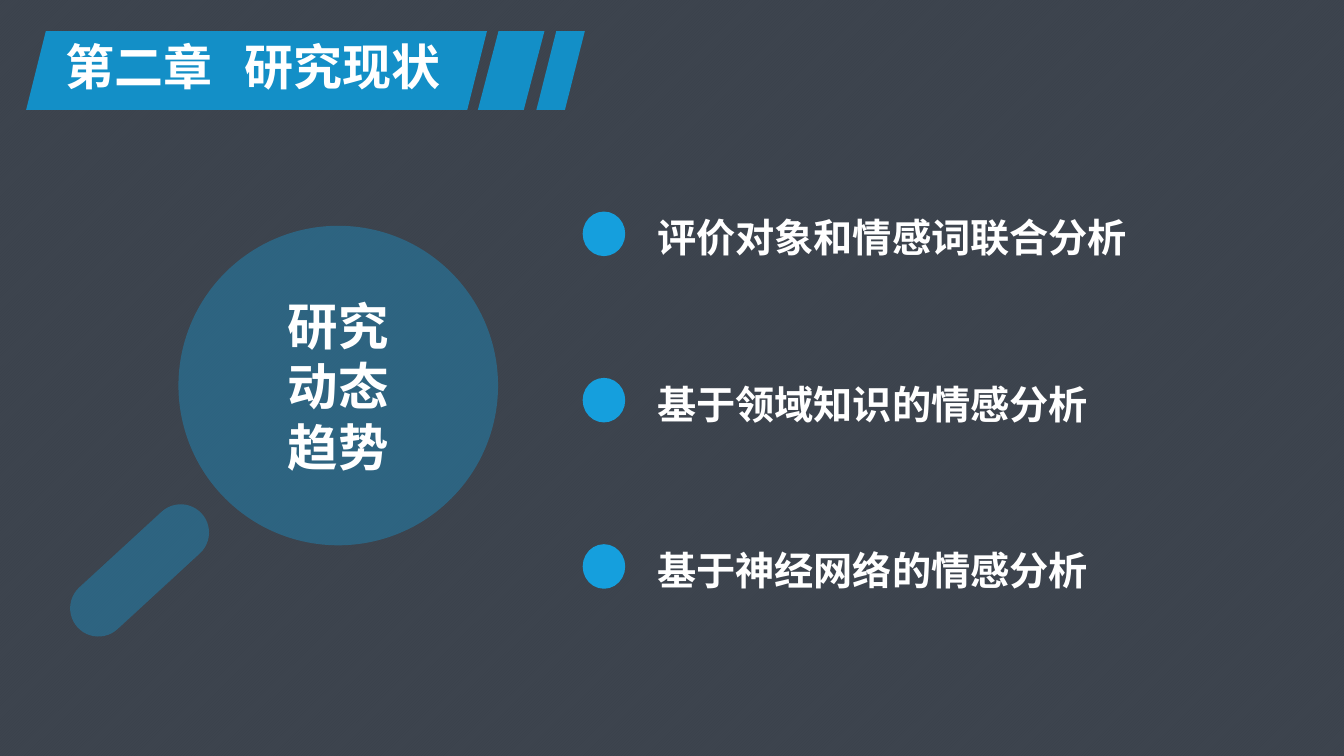
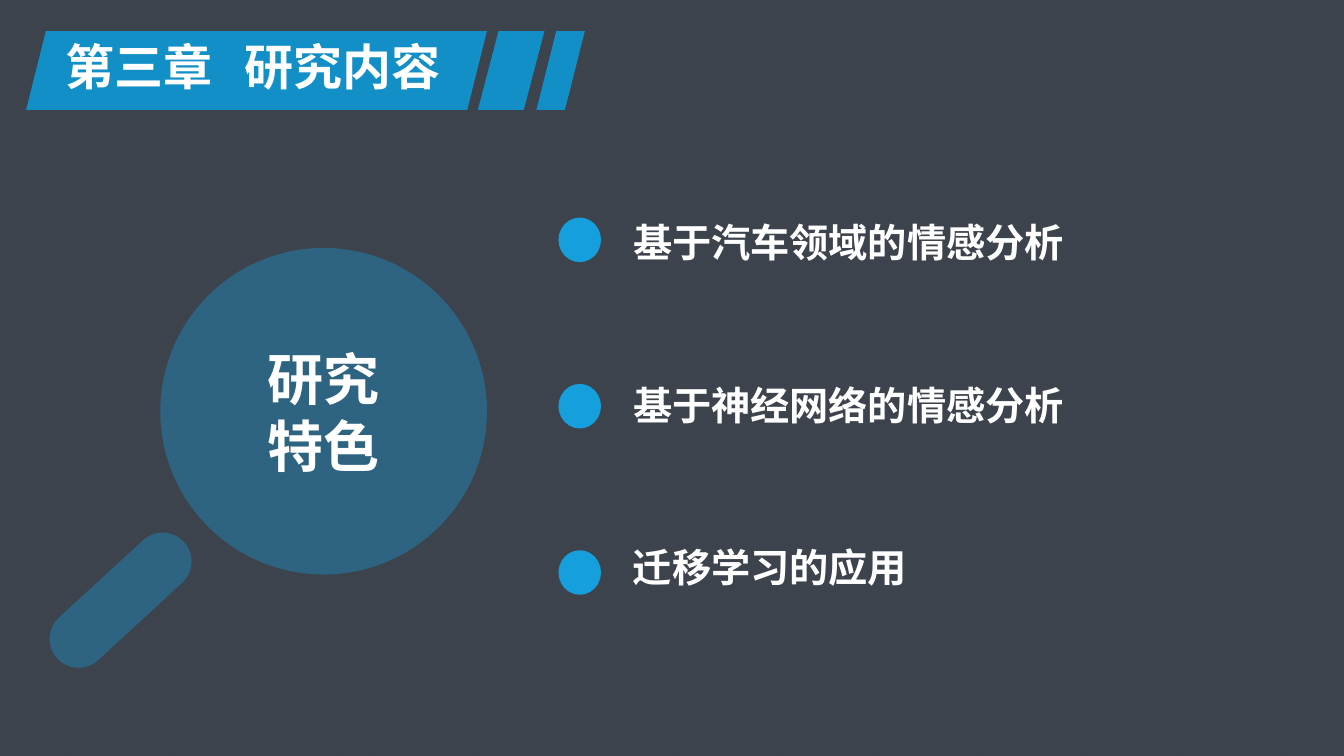
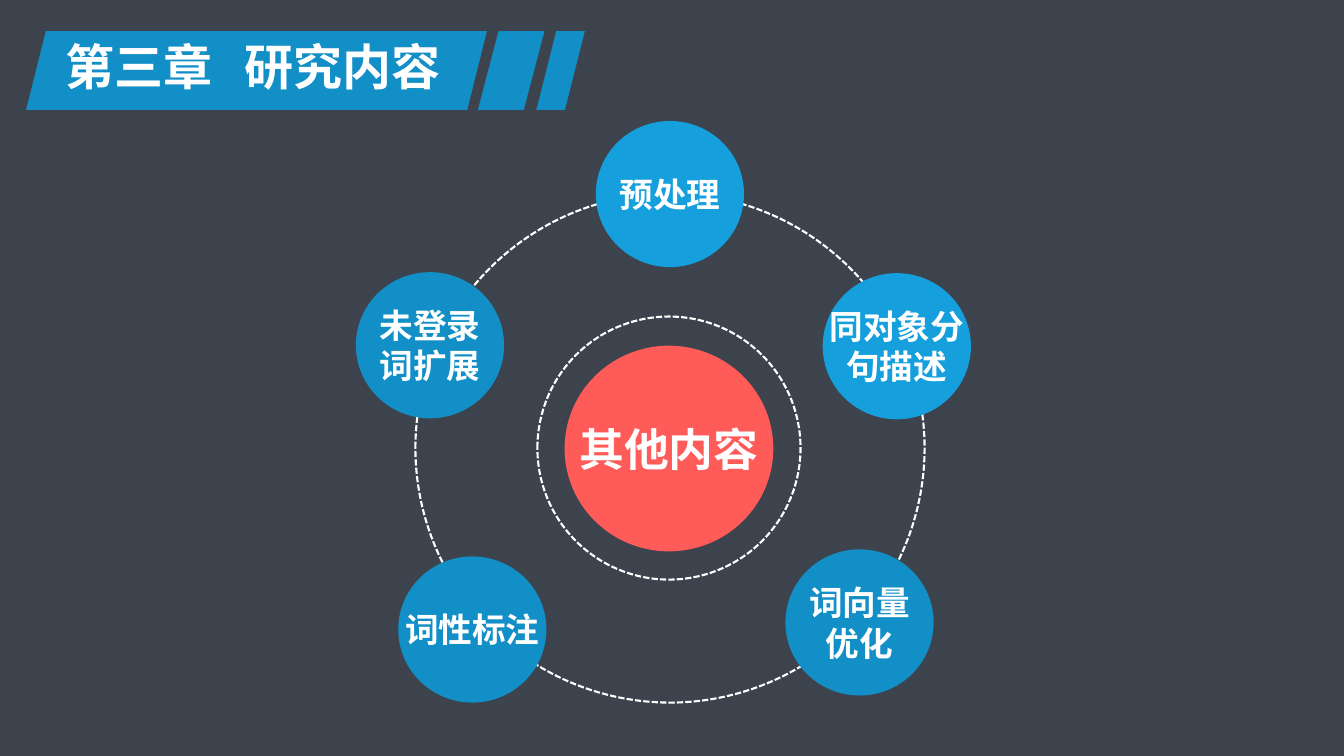
"""Build three slides on the state, features and content of sentiment analysis research."""
from dataclasses import dataclass
from typing import NamedTuple, Optional

from lxml.etree import SubElement
from pptx import Presentation
from pptx.dml.color import RGBColor
from pptx.enum.dml import MSO_LINE, MSO_PATTERN
from pptx.enum.shapes import MSO_SHAPE
from pptx.enum.text import MSO_ANCHOR, PP_ALIGN
from pptx.oxml.ns import qn
from pptx.presentation import Presentation as Deck
from pptx.shapes.autoshape import Shape
from pptx.slide import Slide
from pptx.text.text import TextFrame
from pptx.util import Inches, Pt


@dataclass(frozen=True)
class Theme:
    font: str = "Noto Sans CJK SC"
    white: str = "FFFFFF"
    veil: str = "222A35"
    stripe: str = "BFBFBF"
    paper: str = "DDDCE2"
    deep: str = "138FC7"
    bright: str = "159FDD"
    coral: str = "FF5B59"
    veil_alpha: int = 85
    lens_alpha: int = 36
    title_size: int = 35
    item_size: int = 28
    node_size: int = 24
    hub_size: int = 32


class Box(NamedTuple):
    left: float
    top: float
    width: float
    height: float


class Bar(NamedTuple):
    box: Box
    slant: float


class Magnifier(NamedTuple):
    left: float
    top: float
    size: float
    text: str
    text_size: int


class ItemList(NamedTuple):
    left: float
    text_top: float
    text_step: float
    dot_top: float
    items: tuple[str, ...]


class Node(NamedTuple):
    box: Box
    text: str
    color: str
    size: int


T = Theme()
WIDTH, HEIGHT = 13.33, 7.5
TITLE_BOX = Box(0.55, 0.31, 4.07, 0.69)
TITLE_TAB = 1.78
BARS = (
    Bar(Box(0.26, 0.31, 4.57, 0.78), 0.25),
    Bar(Box(4.74, 0.31, 0.66, 0.78), 0.31),
    Bar(Box(5.32, 0.31, 0.48, 0.78), 0.41),
)
DOT_STEP = 1.65
NODE_W, NODE_H = 1.47, 1.45
RINGS = (Box(4.12, 1.92, 5.05, 5.05), Box(5.33, 3.14, 2.61, 2.61))


def node(left: float, top: float, text: str, color: str) -> Node:
    return Node(Box(left, top, NODE_W, NODE_H), text, color, T.node_size)


NODES = (
    node(5.91, 1.2, "预处理", T.bright),
    node(8.16, 2.71, "同对象分\n句描述", T.bright),
    node(7.79, 5.45, "词向量\n优化", T.deep),
    node(3.95, 5.52, "词性标注", T.deep),
    node(3.53, 2.7, "未登录\n词扩展", T.deep),
    Node(Box(5.6, 3.43, 2.07, 2.04), "其他内容", T.coral, T.hub_size),
)


def rgb(color: str) -> RGBColor:
    return RGBColor.from_string(color)


def add_shape(s: Slide, kind: MSO_SHAPE, box: Box, color: Optional[str] = None,
              alpha: int = 100) -> Shape:
    sp = s.shapes.add_shape(kind, *map(Inches, box))
    sp.shadow.inherit = False
    sp.line.fill.background()
    if color is None:
        sp.fill.background()
        return sp
    sp.fill.solid()
    sp.fill.fore_color.rgb = rgb(color)
    if alpha < 100:
        clr = sp.element.spPr.find(f"{qn('a:solidFill')}/{qn('a:srgbClr')}")
        SubElement(clr, qn("a:alpha"), val=str(alpha * 1000))
    return sp


def write(tf: TextFrame, text: str, size: int, align: PP_ALIGN = PP_ALIGN.LEFT) -> None:
    tf.text = text
    for p in tf.paragraphs:
        p.alignment = align
        p.font.name = T.font
        p.font.size = Pt(size)
        p.font.bold = True
        p.font.color.rgb = rgb(T.white)
        for props in p._p.iter(qn("a:defRPr")):
            SubElement(props, qn("a:ea"), typeface=T.font)


def add_text(s: Slide, box: Box, text: str, size: int, wrap: bool = False) -> TextFrame:
    tf = s.shapes.add_textbox(*map(Inches, box)).text_frame
    tf.word_wrap = wrap
    write(tf, text, size)
    return tf


def add_disc(s: Slide, box: Box, text: str, size: int, color: str, alpha: int = 100) -> None:
    tf = add_shape(s, MSO_SHAPE.OVAL, box, color, alpha).text_frame
    tf.word_wrap = False
    tf.vertical_anchor = MSO_ANCHOR.MIDDLE
    write(tf, text, size, PP_ALIGN.CENTER)


def set_background(prs: Deck) -> None:
    fill = prs.slide_master.background.fill
    fill.patterned()
    fill.pattern = MSO_PATTERN.LIGHT_UPWARD_DIAGONAL
    fill.fore_color.rgb = rgb(T.stripe)
    fill.back_color.rgb = rgb(T.paper)


def add_slide(prs: Deck, chapter: str, title: str) -> Slide:
    s = prs.slides.add_slide(prs.slide_layouts[6])
    add_shape(s, MSO_SHAPE.RECTANGLE, Box(0, 0, WIDTH, HEIGHT), T.veil, T.veil_alpha)
    for bar in BARS:
        sp = add_shape(s, MSO_SHAPE.PARALLELOGRAM, bar.box, T.deep)
        sp.adjustments[0] = bar.slant
    tf = add_text(s, TITLE_BOX, f"{chapter}\t{title}", T.title_size, wrap=True)
    tabs = SubElement(tf.paragraphs[0]._p.pPr, qn("a:tabLst"))
    SubElement(tabs, qn("a:tab"), pos=str(Inches(TITLE_TAB)), algn="l")
    tabs.getparent().insert(0, tabs)
    return s


def add_magnifier(s: Slide, m: Magnifier) -> None:
    add_disc(s, Box(m.left, m.top, m.size, m.size), m.text, m.text_size,
             T.bright, T.lens_alpha)
    handle = Box(m.left - 0.385 * m.size, m.top + 0.99 * m.size,
                 0.527 * m.size, 0.177 * m.size)
    sp = add_shape(s, MSO_SHAPE.ROUNDED_RECTANGLE, handle, T.bright, T.lens_alpha)
    sp.adjustments[0] = 0.5
    sp.rotation = 317.4


def add_items(s: Slide, lst: ItemList) -> None:
    for i, text in enumerate(lst.items):
        dot = Box(lst.left, lst.dot_top + i * DOT_STEP, 0.38, 0.4)
        sp = add_shape(s, MSO_SHAPE.OVAL, dot, T.bright)
        sp.line.color.rgb = rgb(T.bright)
        sp.line.width = Pt(3)
        width = len(text) * T.item_size / 72 + 0.24
        box = Box(lst.left + 0.62, lst.text_top + i * lst.text_step, width, 0.57)
        add_text(s, box, text, T.item_size)


def add_hub(s: Slide) -> None:
    for ring in RINGS:
        ln = add_shape(s, MSO_SHAPE.OVAL, ring).line
        ln.color.rgb = rgb(T.white)
        ln.width = Pt(1.5)
        ln.dash_style = MSO_LINE.SQUARE_DOT
    for n in NODES:
        add_disc(s, n.box, n.text, n.size, n.color)


def main() -> None:
    prs = Presentation()
    prs.slide_width, prs.slide_height = Inches(WIDTH), Inches(HEIGHT)
    set_background(prs)

    s = add_slide(prs, "第二章", "研究现状")
    add_magnifier(s, Magnifier(1.77, 2.24, 3.17, "研究\n动态\n趋势", 36))
    add_items(s, ItemList(5.8, 2.07, 1.65, 2.12, (
        "评价对象和情感词联合分析", "基于领域知识的情感分析", "基于神经网络的情感分析")))

    s = add_slide(prs, "第三章", "研究内容")
    add_magnifier(s, Magnifier(1.59, 2.46, 3.24, "研究\n特色", 40))
    add_items(s, ItemList(5.56, 2.12, 1.61, 2.18, (
        "基于汽车领域的情感分析", "基于神经网络的情感分析", "迁移学习的应用")))

    s = add_slide(prs, "第三章", "研究内容")
    add_hub(s)
    prs.save("out.pptx")


if __name__ == "__main__":
    main()
